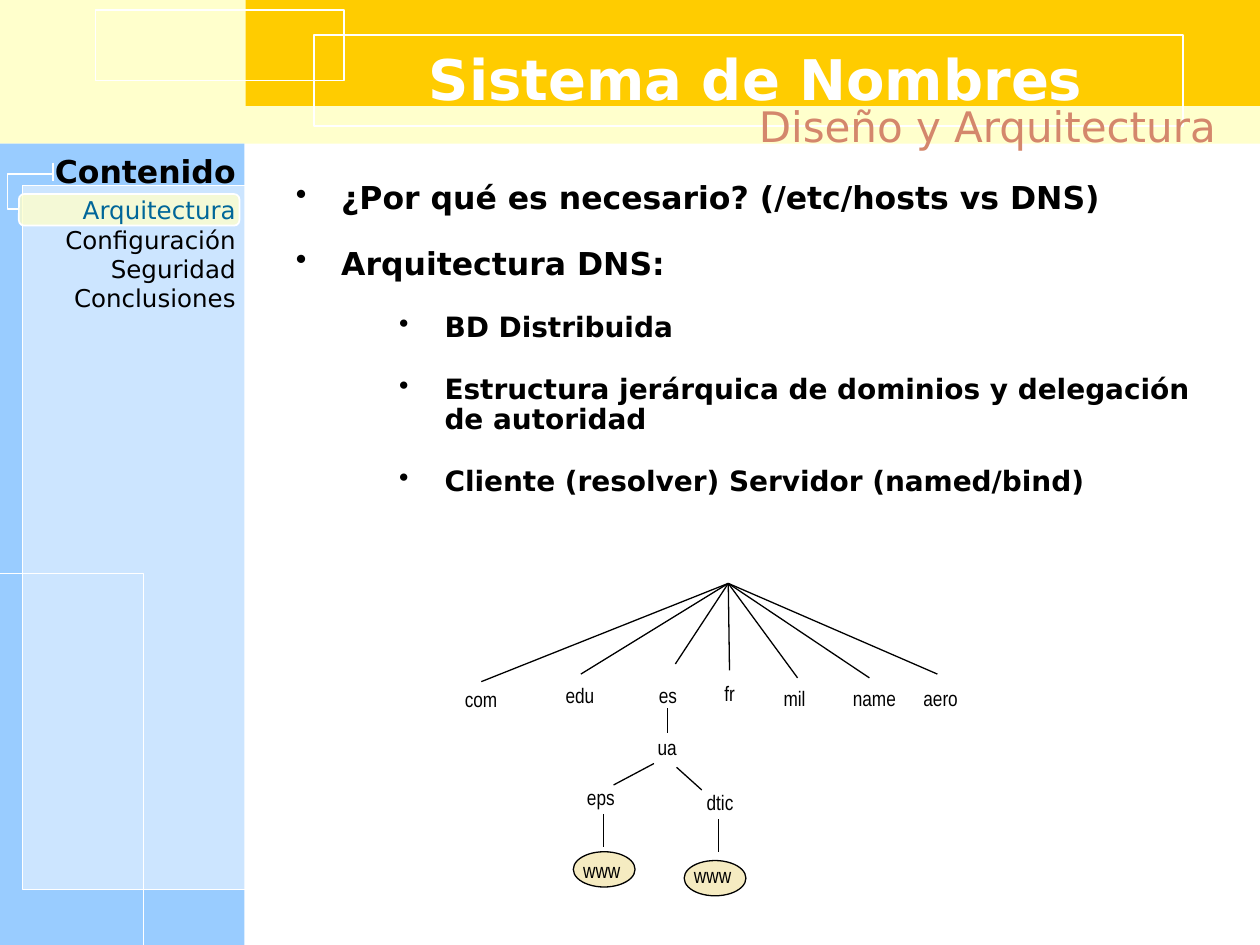
import pptx
import pptx.util
import pptx.dml.color
import pptx.enum.shapes
import pptx.enum.text
import pptx.oxml.ns
from lxml import etree

RGBColor = pptx.dml.color.RGBColor
WHITE = RGBColor(0xFF, 0xFF, 0xFF)
BLACK = RGBColor(0x00, 0x00, 0x00)
CREAM = RGBColor(0xFF, 0xFF, 0xCC)
GOLD = RGBColor(0xFF, 0xCC, 0x00)
SKY = RGBColor(0x99, 0xCC, 0xFF)
TEAL = RGBColor(0x00, 0x66, 0x99)
SALMON = RGBColor(0xD4, 0x87, 0x6C)
SAND = RGBColor(0xF5, 0xEB, 0xC1)

COLUMNS, ROWS = 100, 75
CELL = pptx.util.Inches(10) // COLUMNS
SANS, NARROW = "DejaVu Sans", "Arial Narrow"
SHAPE = pptx.enum.shapes.MSO_SHAPE
ALIGN = pptx.enum.text.PP_ALIGN
ANCHOR = pptx.enum.text.MSO_ANCHOR


def grid(*cells):
    """Turn grid cells into slide lengths."""
    return [round(cell * CELL) for cell in cells]


def within(box, left, top, width, height):
    """Place a part relative to the corner of a box."""
    return box[0] + left, box[1] + top, width, height


def add_child(parent, tag, **attributes):
    """Append a drawing element to a parent element."""
    return etree.SubElement(parent, pptx.oxml.ns.qn(tag), attributes)


def add_panel(page, box, fill=None, line=None, weight=0.75, opacity=100, kind=SHAPE.RECTANGLE):
    """Draw a shape with optional fill, outline and opacity."""
    panel = page.shapes.add_shape(kind, *grid(*box))
    panel.shadow.inherit = False
    if fill is None:
        panel.fill.background()
    else:
        panel.fill.solid()
        panel.fill.fore_color.rgb = fill
        if opacity < 100:
            color = panel.fill._xPr.find(".//" + pptx.oxml.ns.qn("a:srgbClr"))
            add_child(color, "a:alpha", val=str(opacity * 1000))
    if line is None:
        panel.line.fill.background()
    else:
        panel.line.color.rgb = line
        panel.line.width = pptx.util.Pt(weight)
    return panel


def add_line(page, start, end, color=BLACK):
    """Draw a thin straight line between two grid points."""
    line = page.shapes.add_connector(
        pptx.enum.shapes.MSO_CONNECTOR.STRAIGHT, *grid(*start, *end))
    line.line.color.rgb = color
    line.line.width = pptx.util.Pt(0.75)
    add_child(line._element.spPr, "a:effectLst")


def set_font(para, size, color=BLACK, bold=False, name=SANS):
    """Set the font of a whole paragraph."""
    para.font.size = pptx.util.Pt(size)
    para.font.color.rgb = color
    para.font.bold = bold
    para.font.name = name


def add_text(page, box, lines, size, color=BLACK, bold=False, name=SANS, align=ALIGN.LEFT):
    """Add a text box with one paragraph per line."""
    frame = page.shapes.add_textbox(*grid(*box)).text_frame
    frame.word_wrap = True
    frame.text = "\n".join(lines)
    for para in frame.paragraphs:
        para.alignment = align
        set_font(para, size, color, bold, name)
    return frame


def build_header(page, box):
    """Draw the banner with its title and subtitle."""
    add_panel(page, within(box, 0, 0, box[2], 11.4), CREAM)
    add_panel(page, within(box, 19.5, 0, 80.5, 8.4), GOLD)
    add_panel(page, within(box, 24.9, 2.8, 69, 7.2), line=WHITE, weight=1)
    add_panel(page, within(box, 7.6, 0.8, 19.7, 5.6), line=WHITE)
    title = add_text(page, within(box, 20.8, 2.2, 78.4, 8), ["Sistema de Nombres"],
                     32, WHITE, True, align=ALIGN.CENTER)
    title.vertical_anchor = ANCHOR.MIDDLE


def build_subtitle(page, box):
    """Write the subtitle at the right of the banner."""
    add_text(page, box, ["Diseño y Arquitectura"], 24, SALMON, align=ALIGN.RIGHT)


def build_sidebar(page, box):
    """Draw the contents menu with the current entry highlighted."""
    add_panel(page, box, SKY)
    add_panel(page, within(box, -0.2, 34.1, 11.6, 29.6), line=WHITE)
    add_panel(page, within(box, 1.8, 3.3, 17.7, 55.9), WHITE, WHITE, opacity=50)
    left, top = box[:2]
    add_line(page, (left + 4.2, top + 1.5), (left + 4.2, top + 3), WHITE)
    add_panel(page, within(box, 1.5, 4, 17.5, 2.5), CREAM, WHITE, 1, 80, SHAPE.ROUNDED_RECTANGLE)
    corners = [(4.1, 2.4), (0.6, 2.4), (0.6, 5.2), (1.4, 5.2)]
    points = [tuple(grid(left + x, top + y)) for x, y in corners]
    builder = page.shapes.build_freeform(*points[0])
    builder.add_line_segments(points[1:], close=False)
    bracket = builder.convert_to_shape()
    bracket.shadow.inherit = False
    bracket.fill.background()
    bracket.line.color.rgb = WHITE
    bracket.line.width = pptx.util.Pt(1)
    add_text(page, within(box, 0, 0.2, 19.7, 4), ["Contenido"], 18, bold=True, align=ALIGN.RIGHT)
    entries = ["Arquitectura", "Configuración", "Seguridad", "Conclusiones"]
    menu = add_text(page, within(box, 0, 3.6, 19.7, 10.3), entries, 14, align=ALIGN.RIGHT)
    menu.paragraphs[0].font.color.rgb = TEAL


def build_body(page, box):
    """Write the two-level bullet list."""
    items = [
        (0, "¿Por qué es necesario? (/etc/hosts vs DNS)"),
        (0, "Arquitectura DNS:"),
        (1, "BD Distribuida"),
        (1, "Estructura jerárquica de dominios y delegación de autoridad"),
        (1, "Cliente (resolver) Servidor (named/bind)"),
    ]
    frame = page.shapes.add_textbox(*grid(*box)).text_frame
    frame.word_wrap = True
    frame.text = "\n".join(text for _, text in items)
    for index, (para, (level, _)) in enumerate(zip(frame.paragraphs, items)):
        properties = para._p.get_or_add_pPr()
        margin, hang = grid(3.6 + 8.2 * level, -3.6)
        properties.set("marL", str(margin))
        properties.set("indent", str(hang))
        add_child(properties, "a:buChar", char="•")
        para.level = level
        para.line_spacing = 0.9
        para.space_before = pptx.util.Pt(13.5 if index else 0)
        para.space_after = pptx.util.Pt(4.5)
        set_font(para, 18 - 2 * level, bold=True)


def build_tree(page, box):
    """Draw the domain tree from its root to the hosts."""
    left, top = box[:2]
    root = (21.9, 0)
    tips = [(2.3, 7.8), (10.2, 7.2), (17.7, 6.4), (22, 6.9), (27.4, 7.5), (33.1, 7.5), (38.5, 7.2)]
    branches = [
        ((17.1, 9.9), (17.1, 11.9)),
        ((16, 14.3), (12.8, 16)),
        ((17.8, 14.6), (19.8, 16.4)),
        ((12, 18.3), (12, 20.9)),
        ((21.1, 18.7), (21.1, 21.3)),
    ]
    for start, end in [(root, tip) for tip in tips] + branches:
        add_line(page, (left + start[0], top + start[1]), (left + end[0], top + end[1]))
    for x, y in [(9.6, 21.3), (18.4, 22)]:
        add_panel(page, within(box, x, y, 4.9, 2.8), SAND, BLACK, kind=SHAPE.OVAL)
    labels = [
        ("com", 0, 7.7), ("edu", 8, 7.4), ("es", 15.4, 7.4), ("fr", 20.6, 7.2),
        ("mil", 25.3, 7.6), ("name", 30.8, 7.6), ("aero", 36.4, 7.6),
        ("ua", 15.3, 11.5), ("eps", 9.7, 15.5), ("dtic", 19.2, 15.9),
        ("www", 9.4, 21.3), ("www", 18.2, 21.7),
    ]
    for text, x, y in labels:
        width = 7.4 if text == "www" else 5.8
        add_text(page, within(box, x, y, width, 3), [text], 12, name=NARROW)


def main():
    """Build the slide and save the deck."""
    deck = pptx.Presentation()
    deck.slide_width, deck.slide_height = grid(COLUMNS, ROWS)
    page = deck.slides.add_slide(deck.slide_layouts[6])
    build_header(page, (0, 0, COLUMNS, 11.4))
    build_sidebar(page, (0, 11.4, 19.4, 63.6))
    build_body(page, (22.5, 14, 75.6, 30.7))
    build_subtitle(page, (19.5, 7.5, 78, 5.7))
    build_tree(page, (35.9, 46.3, 42.2, 24.8))
    deck.save("out.pptx")


if __name__ == "__main__":
    main()
